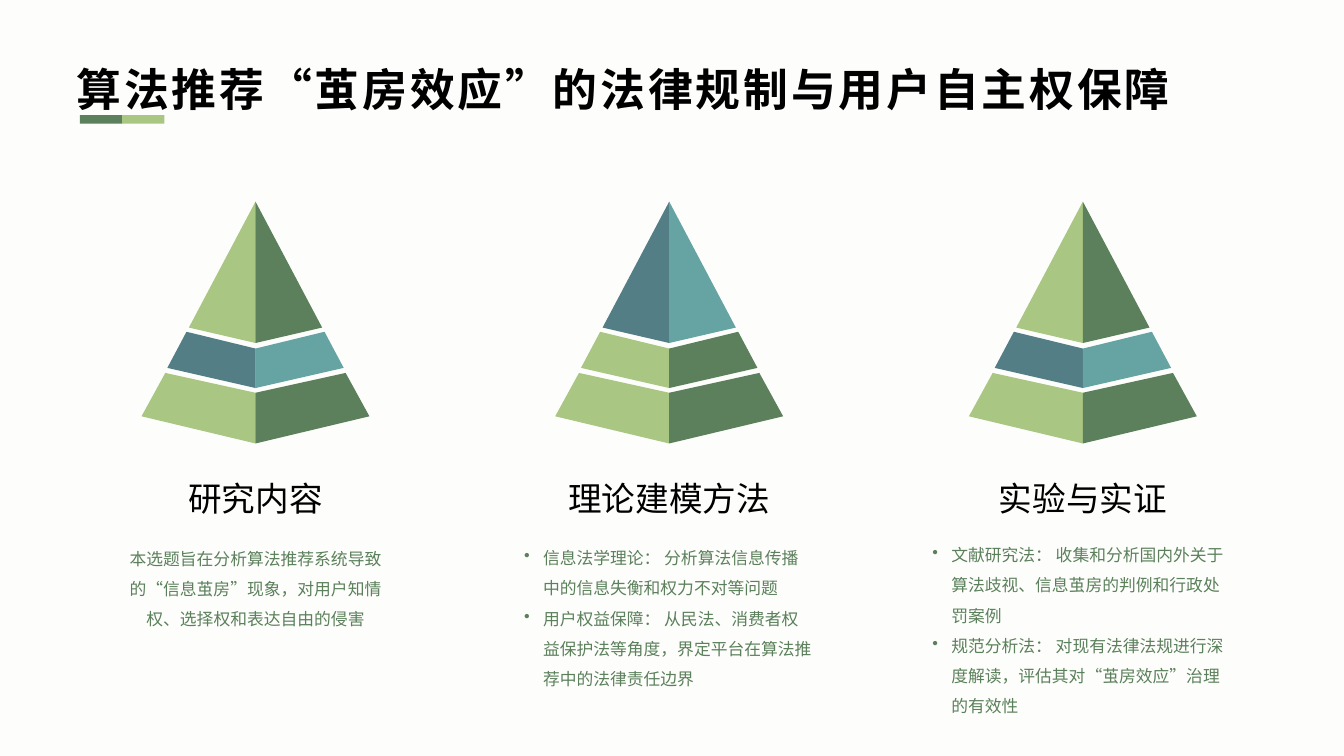
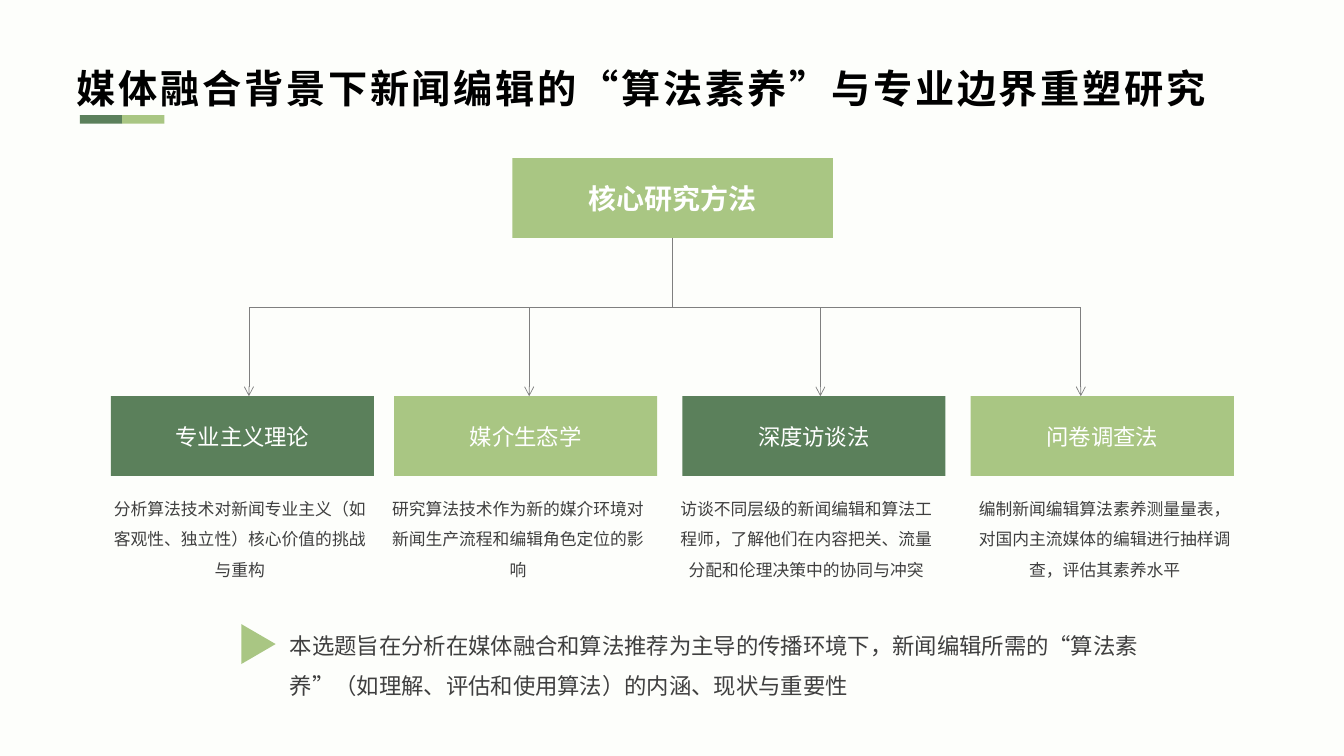
from lxml import etree
from pptx import Presentation
from pptx.dml.color import RGBColor
from pptx.enum import shapes, text
from pptx.oxml.ns import qn
from pptx.util import Pt

FONT = "Noto Sans CJK SC"
PAPER = RGBColor(0xFD, 0xFE, 0xFB)
BLACK = RGBColor(0, 0, 0)
WHITE = RGBColor(0xFF, 0xFF, 0xFF)
INK = RGBColor(0x3F, 0x3F, 0x3F)
GRAY = RGBColor(0x7F, 0x7F, 0x7F)
GREEN = RGBColor(0x5B, 0x80, 0x5B)
LIME = RGBColor(0xA9, 0xC6, 0x83)
TEAL = RGBColor(0x66, 0xA4, 0xA4)
SLATE = RGBColor(0x53, 0x7E, 0x85)
LEFT, CENTER = text.PP_ALIGN.LEFT, text.PP_ALIGN.CENTER
MIDDLE, TOP = text.MSO_ANCHOR.MIDDLE, text.MSO_ANCHOR.TOP
RECT = shapes.MSO_SHAPE.RECTANGLE


def write(sp, lines, size, color, align=CENTER, spacing=1.0, bold=False,
          anchor=MIDDLE, flush=False, bullet=False, tracking=0):
    """Fill a shape with one paragraph per line; flush removes the insets."""
    tf = sp.text_frame
    tf.word_wrap = True
    tf.auto_size = text.MSO_AUTO_SIZE.NONE
    tf.vertical_anchor = anchor
    if flush:
        tf.margin_left = tf.margin_top = tf.margin_right = tf.margin_bottom = 0
    for i, line in enumerate(lines):
        p = tf.add_paragraph() if i else tf.paragraphs[0]
        p.alignment = align
        p.line_spacing = spacing
        if bullet:
            pPr = p._p.get_or_add_pPr()
            pPr.set("marL", str(Pt(13.5)))
            pPr.set("indent", str(-Pt(13.5)))
            etree.SubElement(pPr, qn("a:buChar"), char="•")
        r = p.add_run()
        r.text = line
        r.font.size = Pt(size)
        r.font.name = FONT
        r.font.bold = bold
        r.font.color.rgb = color
        rPr = r._r.get_or_add_rPr()
        etree.SubElement(rPr, qn("a:ea"), typeface=FONT)
        if tracking:
            rPr.set("spc", str(tracking * 100))


def paint(sp, color):
    sp.shadow.inherit = False
    sp.fill.solid()
    sp.fill.fore_color.rgb = color
    sp.line.fill.background()


prs = Presentation()
prs.slide_width, prs.slide_height = Pt(960), Pt(540)
fill = prs.slide_master.background.fill
fill.solid()
fill.fore_color.rgb = PAPER

# Title and two-tone underline on every slide
titles = [
    ("算法推荐“茧房效应”的法律规制与用户自主权保障", 32),
    ("媒体融合背景下新闻编辑的“算法素养”与专业边界重塑研究", 28),
]
for title, size in titles:
    s = prs.slides.add_slide(prs.slide_layouts[5])
    sp = s.shapes.title
    sp.left, sp.top, sp.width, sp.height = Pt(47.5), Pt(32.2), Pt(865.4), Pt(54)
    write(sp, [title], size, BLACK, LEFT, 1.2, bold=True, tracking=2)
    for i, color in enumerate((GREEN, LIME)):
        paint(s.shapes.add_shape(RECT, Pt(57 + 30.2 * i), Pt(82.3), Pt(30.2), Pt(6)), color)

# Slide 1: three pyramids, each with a heading and a text
s = prs.slides[0]
AXIS, PITCH, TIP = 182.5, 295.5, 144
# Right half of each layer: offsets from the tip, mirrored for the left half
LAYERS = [
    [(0, 0), (0, 101), (47.6, 90)],
    [(49.3, 93), (0, 105), (0, 133.2), (63, 118.8)],
    [(64.4, 122.4), (0, 136.6), (0, 172.8), (81.4, 153.4)],
]
GREENS, BLUES = (LIME, GREEN), (SLATE, TEAL)
columns = [
    ("研究内容", (GREENS, BLUES, GREENS), (92.2, 372.2, 180.7, 89.3),
     ["本选题旨在分析算法推荐系统导致的“信息茧房”现象，对用户知情权、选择权和表达自由的侵害"]),
    ("理论建模方法", (BLUES, GREENS, GREENS), (374.4, 380.9, 206.6, 114.5),
     ["信息法学理论： 分析算法信息传播中的信息失衡和权力不对等问题",
      "用户权益保障： 从民法、消费者权益保护法等角度，界定平台在算法推荐中的法律责任边界"]),
    ("实验与实证", (GREENS, BLUES, GREENS), (666, 380.9, 214.6, 131.8),
     ["文献研究法： 收集和分析国内外关于算法歧视、信息茧房的判例和行政处罚案例",
      "规范分析法： 对现有法律法规进行深度解读，评估其对“茧房效应”治理的有效性"]),
]
for i, (heading, palette, box, lines) in enumerate(columns):
    axis = AXIS + PITCH * i
    for layer, colors in zip(LAYERS, palette):
        for side, color in zip((-1, 1), colors):
            pts = [(Pt(axis + side * x), Pt(TIP + y)) for x, y in layer]
            outline = s.shapes.build_freeform(*pts[0])
            outline.add_line_segments(pts[1:])
            paint(outline.convert_to_shape(), color)
    sp = s.shapes.add_textbox(Pt(axis - 80), Pt(338.4), Pt(160), Pt(38))
    write(sp, [heading], 24, BLACK, spacing=0.9, flush=True)
    sp = s.shapes.add_textbox(*map(Pt, box))
    listed = len(lines) > 1
    write(sp, lines, 12, GREEN, LEFT if listed else CENTER, 1.5, flush=True, bullet=listed)

# Slide 2: tree of research methods
s = prs.slides[1]
root = s.shapes.add_shape(RECT, Pt(366), Pt(113), Pt(229), Pt(57))
paint(root, LIME)
write(root, ["核心研究方法"], 20, WHITE, bold=True)

BUS, BOX_TOP, TRUNK = 219.6, 283, 480.5
# Name, box left, caption left, arrow x, caption
methods = [
    ("专业主义理论", 79.2, 72, 177.8,
     "分析算法技术对新闻专业主义（如客观性、独立性）核心价值的挑战与重构"),
    ("媒介生态学", 281.5, 270.7, 378,
     "研究算法技术作为新的媒介环境对新闻生产流程和编辑角色定位的影响"),
    ("深度访谈法", 487.4, 476.6, 586,
     "访谈不同层级的新闻编辑和算法工程师，了解他们在内容把关、流量分配和伦理决策中的协同与冲突"),
    ("问卷调查法", 693.4, 689.8, 772,
     "编制新闻编辑算法素养测量量表，对国内主流媒体的编辑进行抽样调查，评估其素养水平"),
]
for i, (name, left, caption_left, _, caption) in enumerate(methods):
    sp = s.shapes.add_shape(RECT, Pt(left), Pt(BOX_TOP), Pt(188), Pt(57))
    paint(sp, (GREEN, LIME)[i % 2])
    write(sp, [name], 16, WHITE)
    sp = s.shapes.add_textbox(Pt(caption_left), Pt(345.6), Pt(198.7), Pt(73))
    write(sp, [caption], 12, INK, spacing=1.5, anchor=TOP)

arrow_xs = [m[3] for m in methods]
lines = [(TRUNK, 170, TRUNK, BUS), (arrow_xs[0], BUS, arrow_xs[-1], BUS)]
lines += [(x, BUS, x, BOX_TOP) for x in arrow_xs]
for i, ends in enumerate(lines):
    c = s.shapes.add_connector(shapes.MSO_CONNECTOR.STRAIGHT, *map(Pt, ends))
    c.line.color.rgb = GRAY
    c.line.width = Pt(0.5)
    if i == 0:
        c.begin_connect(root, 2)
    if i > 1:
        etree.SubElement(c.line._get_or_add_ln(), qn("a:tailEnd"), type="arrow")
    etree.SubElement(c._element.spPr, qn("a:effectLst"))

marker = s.shapes.add_shape(shapes.MSO_SHAPE.ISOSCELES_TRIANGLE,
                            Pt(170.4), Pt(447.8), Pt(28.5), Pt(24.5))
marker.rotation = 90
paint(marker, LIME)
sp = s.shapes.add_textbox(Pt(200), Pt(438.5), Pt(643), Pt(65.5))
write(sp, ["本选题旨在分析在媒体融合和算法推荐为主导的传播环境下，新闻编辑所需的“算法素养”"
           "（如理解、评估和使用算法）的内涵、现状与重要性"], 16, INK, LEFT, 1.5, anchor=TOP)

prs.save("out.pptx")
